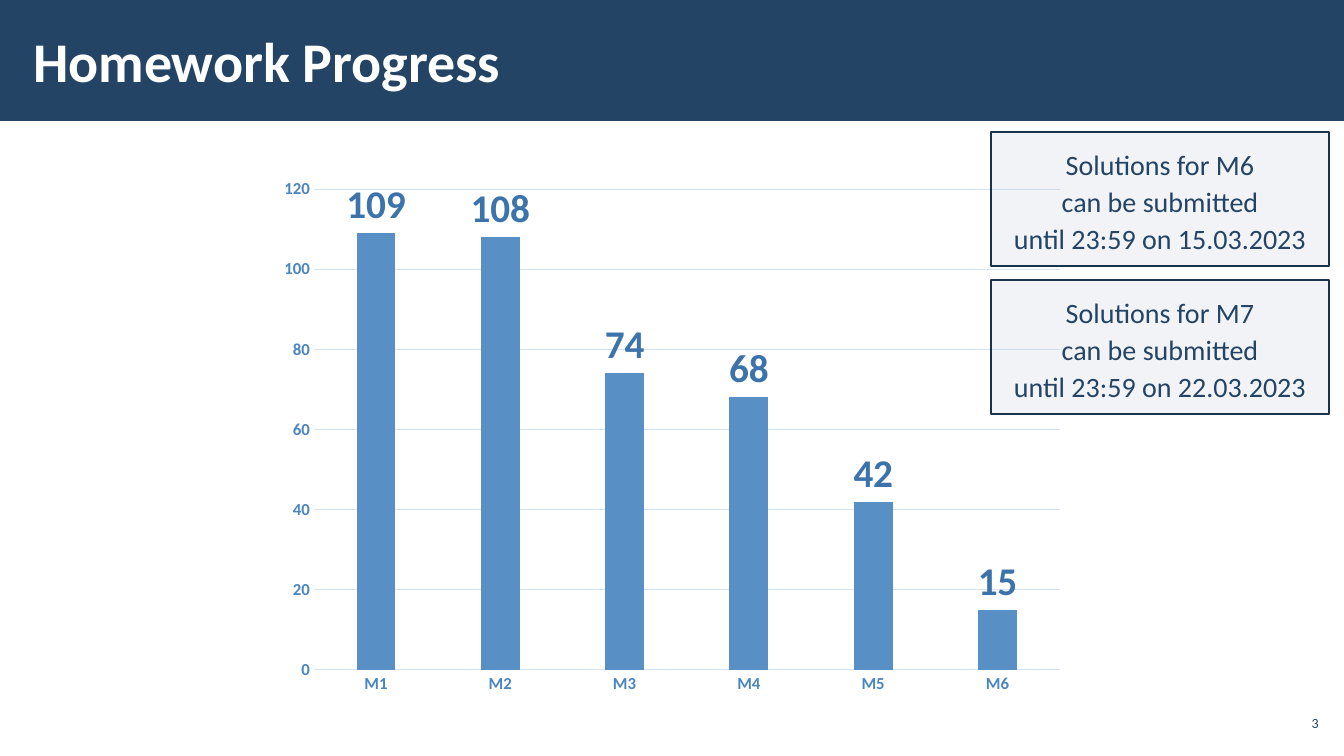
from lxml.etree import SubElement
from pptx import Presentation
from pptx.chart.data import CategoryChartData
from pptx.dml.color import RGBColor
from pptx.enum.chart import XL_CHART_TYPE, XL_LABEL_POSITION, XL_TICK_MARK
from pptx.enum.shapes import MSO_SHAPE
from pptx.enum.text import MSO_ANCHOR, PP_ALIGN
from pptx.oxml.ns import qn
from pptx.util import Inches, Pt

NAVY = "234465"
WHITE = "FFFFFF"
AXIS_BLUE = "4A85C0"
GRID_BLUE = "D5E3F1"


def rgb(color):
    return RGBColor.from_string(color)


def set_font(font, size, color, bold=False):
    font.name = "Calibri"
    font.size = Pt(size)
    font.bold = bold
    font.color.rgb = rgb(color)


presentation = Presentation()
presentation.slide_width = Inches(13.33)
presentation.slide_height = Inches(7.5)
slide = presentation.slides.add_slide(presentation.slide_layouts[6])
shapes = slide.shapes

# Title band
band = shapes.add_shape(MSO_SHAPE.RECTANGLE, 0, 0, presentation.slide_width, Inches(1.2))
band.shadow.inherit = False
band.fill.solid()
band.fill.fore_color.rgb = rgb(NAVY)
band.line.fill.background()

# Title and page number
for text, left, top, width, height, inset, size, color, bold, alignment in [
    ("Homework Progress", 0.21, 0.11, 10.63, 0.97, 0.12, 40, WHITE, True, PP_ALIGN.LEFT),
    ("3", 12.65, 7, 0.47, 0.34, 0.04, 10, NAVY, False, PP_ALIGN.RIGHT),
]:
    box = shapes.add_textbox(Inches(left), Inches(top), Inches(width), Inches(height))
    frame = box.text_frame
    frame.word_wrap = True
    frame.vertical_anchor = MSO_ANCHOR.MIDDLE
    frame.margin_left = frame.margin_right = Inches(inset)
    frame.margin_top = frame.margin_bottom = Inches(0.04)
    paragraph = frame.paragraphs[0]
    paragraph.text = text
    paragraph.alignment = alignment
    set_font(paragraph.font, size, color, bold)

# Submissions per homework
chart_data = CategoryChartData()
chart_data.categories = ["M1", "M2", "M3", "M4", "M5", "M6"]
chart_data.add_series("Series 1", [109, 108, 74, 68, 42, 15])
chart = shapes.add_chart(
    XL_CHART_TYPE.COLUMN_CLUSTERED,
    Inches(2.66), Inches(1.67), Inches(8.01), Inches(5.32), chart_data,
).chart
chart.has_legend = False
chart.has_title = False
set_font(chart.font, 10, NAVY)

for axis in (chart.category_axis, chart.value_axis):
    axis.major_tick_mark = XL_TICK_MARK.NONE
    axis.minor_tick_mark = XL_TICK_MARK.NONE
    set_font(axis.tick_labels.font, 12, AXIS_BLUE, True)
chart.value_axis.format.line.fill.background()
chart.value_axis.minimum_scale = 0
chart.value_axis.maximum_scale = 120
chart.value_axis.major_unit = 20
for line in (chart.category_axis.format.line, chart.value_axis.major_gridlines.format.line):
    line.color.rgb = rgb(GRID_BLUE)
    line.width = Pt(0.75)

plot = chart.plots[0]
plot.vary_by_categories = False
plot.gap_width = 219
plot.overlap = -27
series = plot.series[0]
series.format.fill.solid()
series.format.fill.fore_color.rgb = rgb("588FC5")
labels = series.data_labels
labels.show_value = True
labels.position = XL_LABEL_POSITION.OUTSIDE_END
set_font(labels.font, 28, "3B73AA", True)

# Deadline boxes
for top, homework, date in [(1.31, "M6", "15.03.2023"), (2.78, "M7", "22.03.2023")]:
    deadline = shapes.add_shape(
        MSO_SHAPE.RECTANGLE, Inches(9.83), Inches(top), Inches(3.35), Inches(1.33)
    )
    deadline.shadow.inherit = False
    deadline.fill.solid()
    deadline.fill.fore_color.rgb = rgb("ADB4C3")
    fill_color = deadline.fill._xPr.find(qn("a:solidFill"))[0]
    SubElement(fill_color, qn("a:alpha")).set("val", "15000")
    deadline.line.color.rgb = rgb("1A334C")
    deadline.line.width = Pt(1)
    frame = deadline.text_frame
    frame.word_wrap = True
    frame.vertical_anchor = MSO_ANCHOR.TOP
    frame.margin_left = frame.margin_right = Inches(0.16)
    frame.margin_top = frame.margin_bottom = Inches(0.12)
    frame.text = f"Solutions for {homework}\ncan be submitted\nuntil 23:59 on {date}"
    for paragraph in frame.paragraphs:
        paragraph.alignment = PP_ALIGN.CENTER
        paragraph.line_spacing = 1.1
        set_font(paragraph.font, 20, NAVY)

presentation.save("out.pptx")
